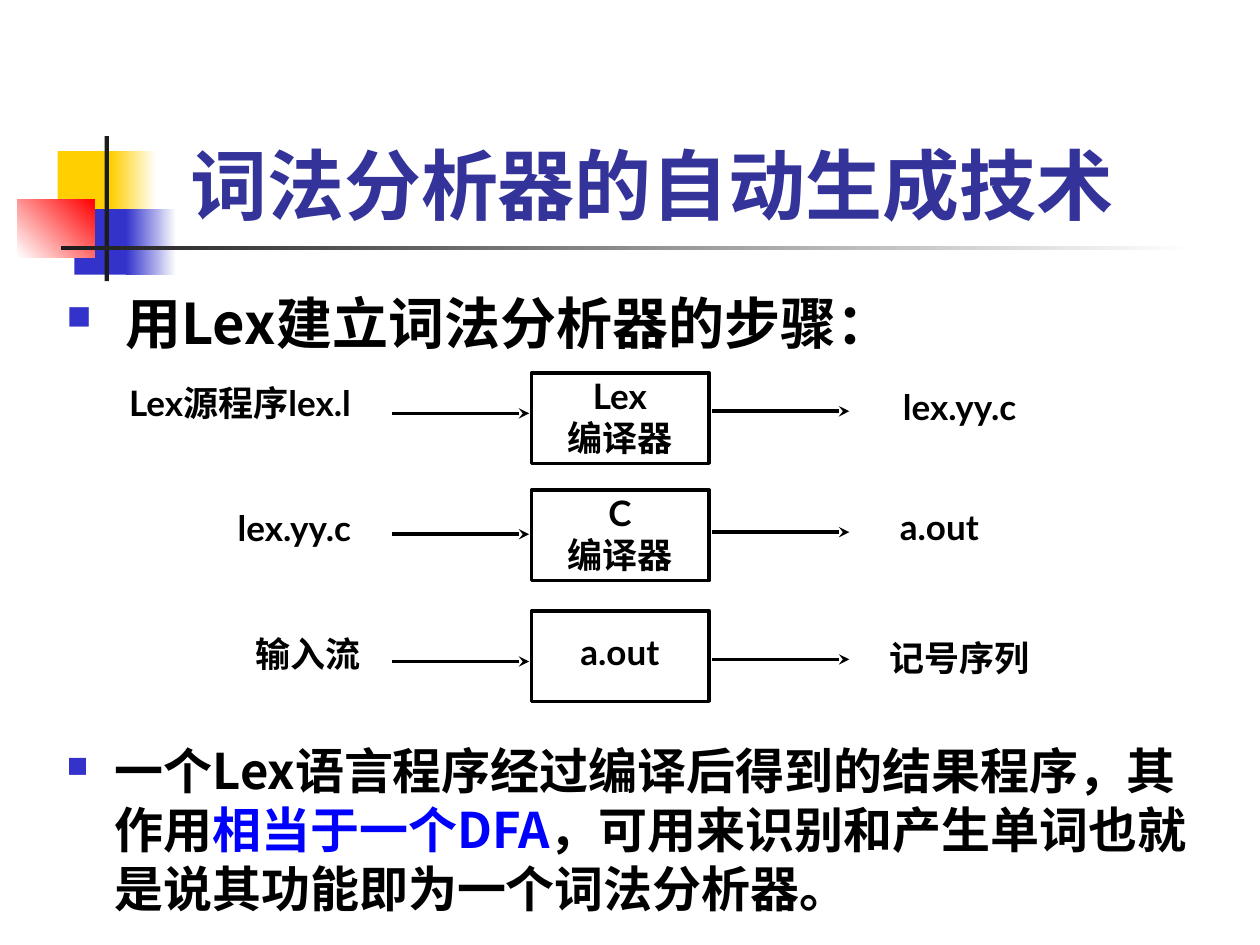
from lxml import etree
from pptx import Presentation
from pptx import util as u
from pptx.dml.color import RGBColor
from pptx.enum import shapes, text
from pptx.oxml.ns import qn

Pt = u.Pt
LATO, CJK = "Lato", "Noto Sans CJK JP"
BLACK, BLUE, WHITE = "000000", "3333CC", "FFFFFF"

# Content
TITLE = "词法分析器的自动生成技术"
BULLETS = [  # top, height, text indent, size, line pitch, runs
    (164.6, 46, 33.5, 32, 38.5, [("用Lex建立词法分析器的步骤：", BLACK)]),
    (423.3, 110, 27.4, 28, 33.6, [
        ("一个Lex语言程序经过编译后得到的结果程序，其作用", BLACK),
        ("相当于一个DFA", "0000FF"),
        ("，可用来识别和产生单词也就是说其功能即为一个词法分析器。", BLACK)]),
]
STEPS = [  # box top, box lines, top inset, arrow y, input label, output label
    (213, ["Lex", "编译器"], 0.7, 236.2,
     ("Lex源程序lex.l", 54, 216, 167), ("lex.yy.c", 468, 218.2, 161.3)),
    (280, ["C", "编译器"], 0.7, 305.3,
     ("lex.yy.c", 117.4, 287.3, 102.2), ("a.out", 456.5, 286.6, 161.3)),
    (349, ["a.out"], 11.5, 378,
     ("输入流", 128.2, 359.3, 95.8), ("记号序列", 468, 361.4, 161.3)),
]
DECOR = [  # left, top, width, height, colours, gradient angle
    (33, 86.4, 34.6, 37.4, ["FFCF01"], 0),
    (63.4, 86.4, 25.9, 37.4, ["FFCF01", WHITE], 0),
    (42.5, 119.5, 33.1, 37.4, [BLUE], 0),
    (72, 119.5, 28.8, 37.4, [BLUE, WHITE], 0),
    (10.1, 113.8, 43.9, 33.1, [WHITE, "FF0000"], 45),
    (59.8, 77.8, 2.4, 82.8, ["1C1C1C"], 0),
    (34.6, 140.4, 648, 2.4, ["1C1C1C", WHITE], 0),
]
BOX_LEFT, BOX_W, BOX_H = 303.8, 101.5, 51.8
ARROW_LEFTS, ARROW_W = (223.9, 406.8), 78.5
OUTPUT_RISE = 1.2


def rgb(value):
    return RGBColor.from_string(value)


def set_attrs(obj, **values):
    for name, value in values.items():
        setattr(obj, name, value)


def add_run(p, string, size, font, color=BLACK):
    r = p.add_run()
    r.text = string
    set_attrs(r.font, size=Pt(size), name=font, bold=True)
    r.font.color.rgb = rgb(color)
    etree.SubElement(r.font._element, qn("a:ea")).set("typeface", font)


def frame(sp, left=7.2, top=3.6, right=7.2, bottom=3.6,
          anchor=text.MSO_ANCHOR.TOP):
    tf = sp.text_frame
    set_attrs(tf, word_wrap=True, vertical_anchor=anchor,
              margin_left=Pt(left), margin_top=Pt(top),
              margin_right=Pt(right), margin_bottom=Pt(bottom))
    return tf


def add_box(s, *place):
    return s.shapes.add_textbox(*map(Pt, place))


def add_rect(s, *place):
    sp = s.shapes.add_shape(shapes.MSO_SHAPE.RECTANGLE, *map(Pt, place))
    sp.shadow.inherit = False
    return sp


def add_centred(tf, lines):
    for i, line in enumerate(lines):
        p = tf.add_paragraph() if i else tf.paragraphs[0]
        p.alignment = text.PP_ALIGN.CENTER
        add_run(p, line, 20, LATO)


def add_arrow(s, x, y):
    c = s.shapes.add_connector(shapes.MSO_CONNECTOR.STRAIGHT,
                               Pt(x), Pt(y), Pt(x + ARROW_W), Pt(y))
    c.line.width = Pt(2)
    c.line.color.rgb = rgb(BLACK)
    etree.SubElement(c.line._get_or_add_ln(), qn("a:tailEnd")).set("type", "stealth")
    etree.SubElement(c._element.spPr, qn("a:effectLst"))


def add_bullet(p, indent):
    pPr = p._p.get_or_add_pPr()
    pPr.set("marL", str(Pt(indent)))
    pPr.set("indent", str(-Pt(indent)))
    clr = etree.SubElement(pPr, qn("a:buClr"))
    etree.SubElement(clr, qn("a:srgbClr")).set("val", BLUE)
    etree.SubElement(pPr, qn("a:buSzPct")).set("val", "60000")
    etree.SubElement(pPr, qn("a:buChar")).set("char", "■")


prs = Presentation()
set_attrs(prs, slide_width=Pt(720), slide_height=Pt(540))
s = prs.slides.add_slide(prs.slide_layouts[6])

# Coloured blocks and rules beside the title
for *place, colors, angle in DECOR:
    sp = add_rect(s, *place)
    sp.line.fill.background()
    if len(colors) == 1:
        sp.fill.solid()
        sp.fill.fore_color.rgb = rgb(colors[0])
    else:
        sp.fill.gradient()
        sp.fill.gradient_angle = angle
        for i, (stop, color) in enumerate(zip(sp.fill.gradient_stops, colors)):
            stop.position = i
            stop.color.rgb = rgb(color)

# Title
tf = frame(add_box(s, 101.5, 65, 618.5, 69.8), anchor=text.MSO_ANCHOR.BOTTOM)
add_run(tf.paragraphs[0], TITLE, 44, CJK, "333399")

# Bulleted statements
for top, height, indent, size, pitch, runs in BULLETS:
    p = frame(add_box(s, 31, top, 674.6, height), top=0, bottom=0).paragraphs[0]
    p.line_spacing = Pt(pitch)
    add_bullet(p, indent)
    for string, color in runs:
        add_run(p, string, size, CJK, color)

# Flow: input -> tool -> output
for top, lines, inset, arrow_y, *labels in STEPS:
    sp = add_rect(s, BOX_LEFT, top, BOX_W, BOX_H)
    sp.fill.background()
    sp.line.width = Pt(2)
    sp.line.color.rgb = rgb(BLACK)
    add_centred(frame(sp, 6.5, inset, 7.2, 0.7), lines)
    for i, x in enumerate(ARROW_LEFTS):
        add_arrow(s, x, arrow_y - i * OUTPUT_RISE)
    for label, x, y, width in labels:
        add_centred(frame(add_box(s, x, y, width, 35.3), 6.5, 2.2, 7.2, 3.6), [label])

prs.save("out.pptx")
